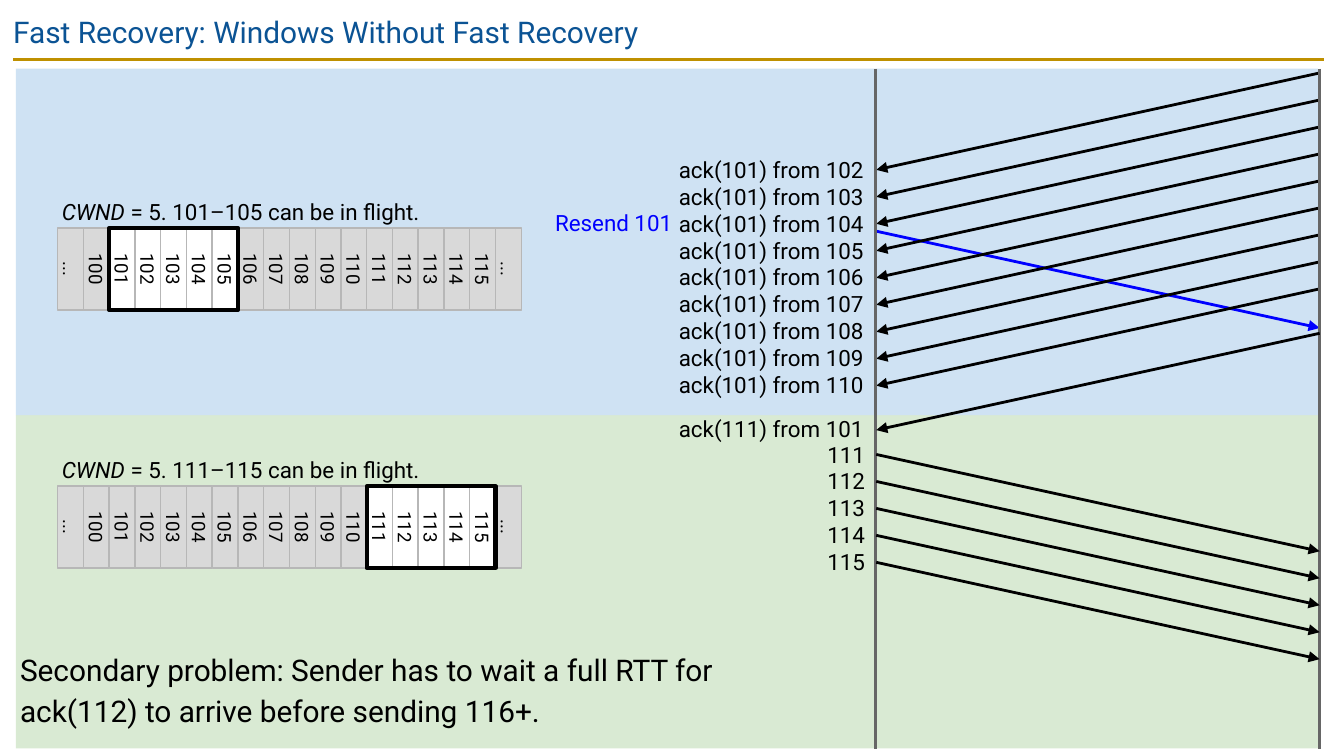
from dataclasses import dataclass

from lxml.etree import SubElement
from pptx import Presentation
from pptx.dml.color import RGBColor
from pptx.enum.shapes import MSO_CONNECTOR, MSO_SHAPE
from pptx.enum.text import MSO_ANCHOR, PP_ALIGN
from pptx.oxml.ns import qn
from pptx.util import Cm, Pt


@dataclass(frozen=True)
class Theme:
    font: str = "Roboto"
    heading: str = "0B5394"
    rule: str = "BF9000"
    before: str = "CFE2F3"
    after: str = "D9EAD3"
    ink: str = "000000"
    resend: str = "0000FF"
    timeline: str = "666666"
    cell: str = "D9D9D9"
    cell_edge: str = "B7B7B7"
    in_window: str = "FFFFFF"
    large: int = 16
    label: int = 12
    small: int = 10
    thin: float = 0.75
    medium: float = 1.5
    thick: float = 2.25


class SlideBuilder:
    def __init__(self, slide, theme):
        self.slide = slide
        self.theme = theme

    def fill_text(self, frame, paragraphs, size, color=None, inset=0, italic_start="", **layout):
        """Fill a text frame; italic_start is set in italics before the first paragraph."""
        frame_format = {"word_wrap": True}
        for side in ("left", "top", "right", "bottom"):
            frame_format[f"margin_{side}"] = Cm(inset)
        for name, value in frame_format.items():
            setattr(frame, name, value)
        for index, content in enumerate(paragraphs):
            paragraph = frame.add_paragraph() if index else frame.paragraphs[0]
            for name, value in layout.items():
                setattr(paragraph, name, value)
            pieces = [(content, False)]
            if italic_start and index == 0:
                pieces.insert(0, (italic_start, True))
            for piece, italic in pieces:
                run = paragraph.add_run()
                run.text = piece
                run_format = {"name": self.theme.font, "size": Pt(size), "italic": italic}
                for name, value in run_format.items():
                    setattr(run.font, name, value)
                run.font.color.rgb = RGBColor.from_string(color or self.theme.ink)

    def text(self, left, top, width, height, paragraphs, size, **options):
        box = self.slide.shapes.add_textbox(Cm(left), Cm(top), Cm(width), Cm(height))
        self.fill_text(box.text_frame, paragraphs, size, **options)

    def rect(self, left, top, width, height, fill=None, edge=None, weight=0):
        shape = self.slide.shapes.add_shape(
            MSO_SHAPE.RECTANGLE, Cm(left), Cm(top), Cm(width), Cm(height))
        shape.shadow.inherit = False
        if fill:
            shape.fill.solid()
            shape.fill.fore_color.rgb = RGBColor.from_string(fill)
        else:
            shape.fill.background()
        if edge:
            shape.line.color.rgb = RGBColor.from_string(edge)
            shape.line.width = Pt(weight)
        else:
            shape.line.fill.background()
        return shape

    def upright_rect(self, left, top, width, height, **style):
        """Rectangle turned by 90 degrees that covers the given area."""
        shift = (width - height) / 2
        shape = self.rect(left + shift, top - shift, height, width, **style)
        shape.rotation = 90
        return shape

    def line(self, x1, y1, x2, y2, color, arrow=False):
        connector = self.slide.shapes.add_connector(
            MSO_CONNECTOR.STRAIGHT, Cm(x1), Cm(y1), Cm(x2), Cm(y2))
        connector.line.color.rgb = RGBColor.from_string(color)
        connector.line.width = Pt(self.theme.medium)
        properties = connector._element.spPr
        if arrow:
            SubElement(properties.find(qn("a:ln")), qn("a:tailEnd"), type="triangle")
        SubElement(properties, qn("a:effectLst"))

    def packet(self, x1, x2, top, color=None):
        """Message that travels from x1 to x2 in half a round trip."""
        self.line(x1, top, x2, top + TRAVEL, color or self.theme.ink, arrow=True)

    def window(self, top, first):
        """Row of sequence numbers with the five sendable ones framed."""
        theme = self.theme
        numbers = ["...", *map(str, range(100, 116)), "..."]
        left, height = 1.09, 1.55
        pitch = 8.76 / len(numbers)
        start = numbers.index(str(first))
        for index, number in enumerate(numbers):
            sendable = start <= index < start + CWND
            cell = self.upright_rect(
                left + index * pitch, top, pitch, height,
                fill=theme.in_window if sendable else theme.cell,
                edge=theme.cell_edge, weight=theme.thin)
            cell.text_frame.vertical_anchor = MSO_ANCHOR.MIDDLE
            self.fill_text(cell.text_frame, [number], theme.small, inset=0.25,
                           alignment=PP_ALIGN.CENTER)
        self.upright_rect(left + start * pitch, top, CWND * pitch, height,
                          edge=theme.ink, weight=theme.thick)
        self.text(left, top - 0.65, 8.74, 0.66,
                  [f" = {CWND}. {first}–{first + CWND - 1} can be in flight."],
                  theme.label, inset=0.08, italic_start="CWND")


CWND = 5
TRAVEL = 1.83
STEP = 0.51
SENDER, RECEIVER = 16.56, 24.94
BAND_TOP, BAND_SPLIT, BAND_BOTTOM = 1.3, 7.85, 14.15


def main():
    deck = Presentation()
    deck.slide_width, deck.slide_height = Cm(25.4), Cm(14.29)
    theme = Theme()
    builder = SlideBuilder(deck.slides.add_slide(deck.slide_layouts[6]), theme)

    # Heading and the two phases
    builder.line(0.25, 1.12, 25.02, 1.12, theme.rule)
    for top, bottom, fill in ((BAND_SPLIT, BAND_BOTTOM, theme.after),
                              (BAND_TOP, BAND_SPLIT, theme.before)):
        builder.rect(0.3, top, 24.61, bottom - top, fill=fill)
    builder.text(0, 0, 23.67, 1.09, ["Fast Recovery: Windows Without Fast Recovery"],
                 theme.large, color=theme.heading, inset=0.25)

    # Congestion windows
    builder.window(4.31, 101)
    builder.window(9.19, 111)

    # Labels beside the sender
    duplicates = [f"ack(101) from {number}" for number in range(102, 111)]
    resumed = [str(number) for number in range(111, 116)]
    builder.text(12.83, 2.95, 3.53, 4.62, duplicates, theme.label)
    builder.text(10.49, 3.96, 2.41, 0.51, ["Resend 101"], theme.label, color=theme.resend)
    builder.text(12.83, BAND_SPLIT, 3.53, 0.51, ["ack(111) from 101"], theme.label)
    builder.text(15.44, 8.33, 0.91, 2.57, resumed, theme.label, alignment=PP_ALIGN.RIGHT)

    # Messages between sender and receiver
    builder.packet(SENDER, RECEIVER, 4.37, theme.resend)
    for index in range(len(duplicates)):
        builder.packet(RECEIVER, SENDER, 1.38 + index * STEP)
    for timeline in (RECEIVER, SENDER - 0.02):
        builder.line(timeline, BAND_TOP, timeline, BAND_BOTTOM, theme.timeline)
    builder.packet(RECEIVER, SENDER, 6.3)
    for index in range(len(resumed)):
        builder.packet(SENDER, RECEIVER, 8.59 + index * STEP)

    # Conclusion
    builder.text(0.3, 12.14, 15.16, 1.78,
                 ["Secondary problem: Sender has to wait a full RTT for "
                  "ack(112) to arrive before sending 116+."],
                 theme.large, inset=0.08, line_spacing=1.15)

    deck.save("out.pptx")


if __name__ == "__main__":
    main()
